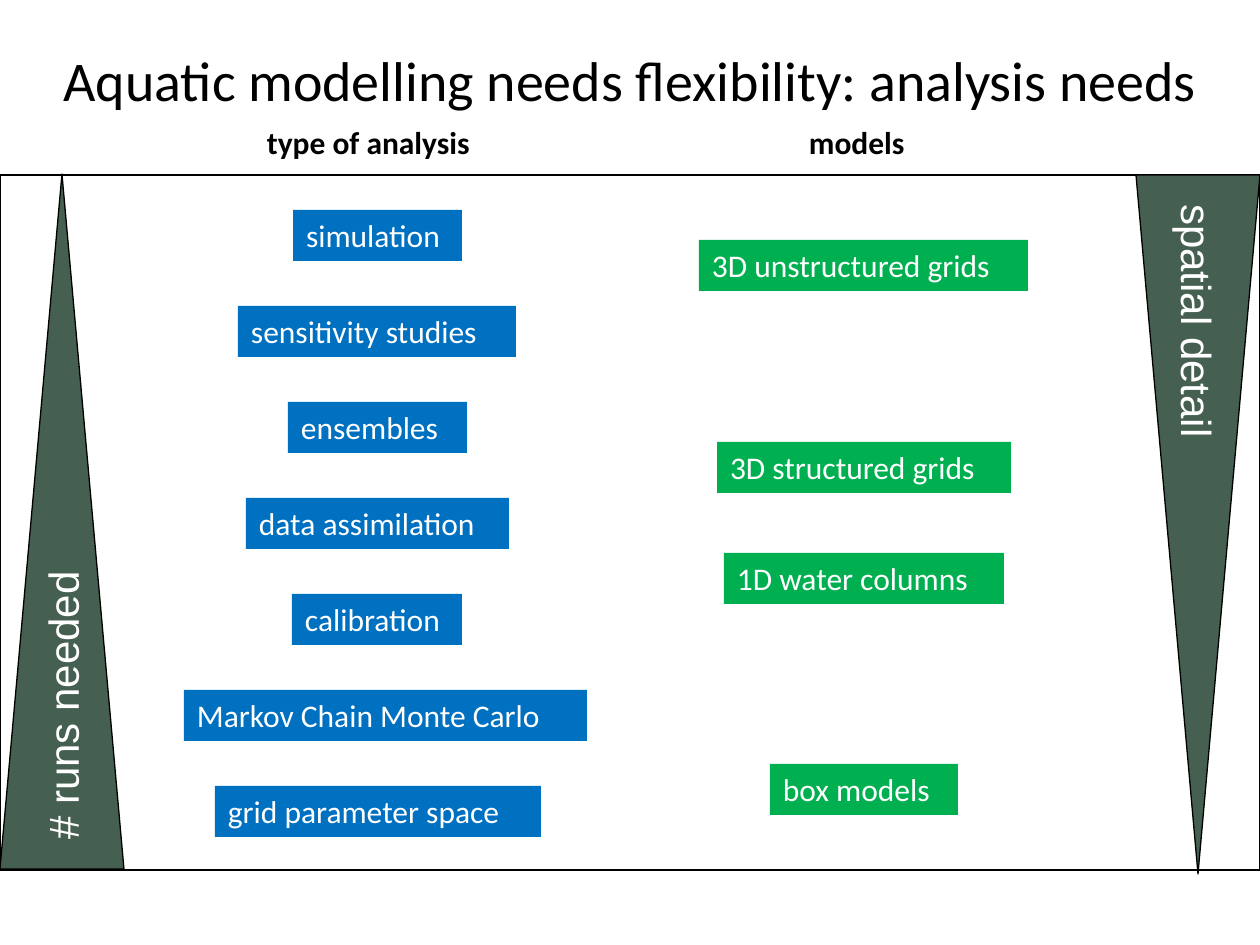
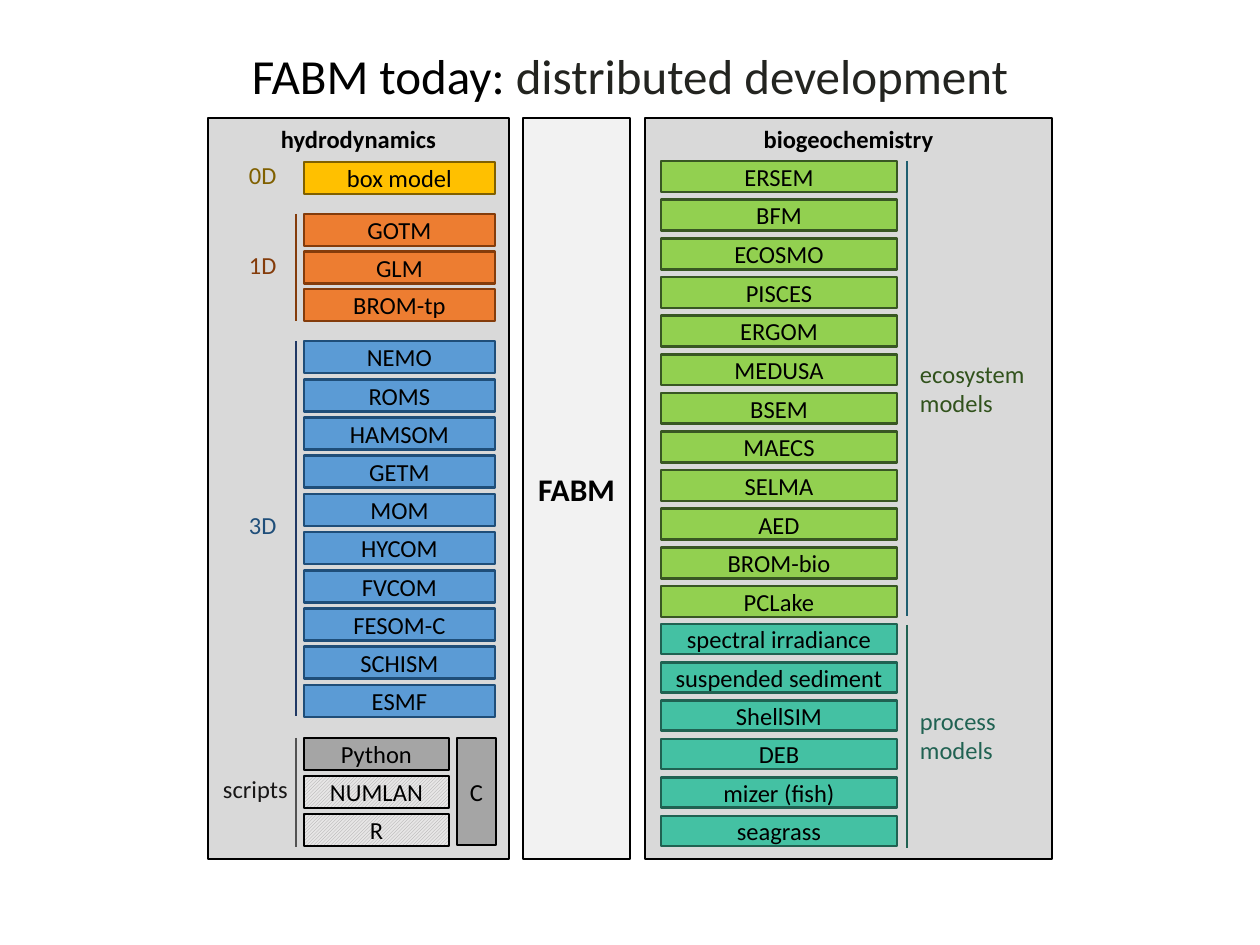
import lxml.etree
import pptx
import pptx.dml.color
import pptx.enum.dml
import pptx.enum.shapes
import pptx.enum.text
import pptx.oxml.ns
import pptx.util

RGB = pptx.dml.color.RGBColor
SHAPE = pptx.enum.shapes.MSO_SHAPE
ANCHOR = pptx.enum.text.MSO_ANCHOR
ALIGN = pptx.enum.text.PP_ALIGN

PX = 914400 / 126
BLACK = RGB(0x00, 0x00, 0x00)
WHITE = RGB(0xFF, 0xFF, 0xFF)
TITLE_SOFT = RGB(0x23, 0x24, 0x20)
ANALYSIS_BLUE = RGB(0x00, 0x70, 0xC0)
MODEL_GREEN = RGB(0x00, 0xB0, 0x50)
WEDGE_GREEN = RGB(0x45, 0x5F, 0x51)
PANEL_GREY = RGB(0xD9, 0xD9, 0xD9)
CORE_GREY = RGB(0xF2, 0xF2, 0xF2)
SCRIPT_GREY = RGB(0xA5, 0xA5, 0xA5)
HATCH_PALE = RGB(0xE7, 0xE6, 0xE6)
SCRIPT_BAR = RGB(0x52, 0x52, 0x52)
SCRIPT_TEXT = RGB(0x18, 0x17, 0x17)
GOLD = RGB(0xFF, 0xC0, 0x00)
GOLD_DARK = RGB(0x80, 0x60, 0x00)
ORANGE = RGB(0xED, 0x7D, 0x31)
ORANGE_DARK = RGB(0x84, 0x3C, 0x0B)
BLUE = RGB(0x5B, 0x9B, 0xD5)
BLUE_DARK = RGB(0x1F, 0x4E, 0x79)
BLUE_BAR = RGB(0x20, 0x38, 0x64)
LIME = RGB(0x92, 0xD0, 0x50)
LIME_DARK = RGB(0x38, 0x57, 0x23)
ECOSYSTEM_BAR = RGB(0x1E, 0x5E, 0x70)
ECOSYSTEM_TEXT = RGB(0x31, 0x52, 0x1C)
TEAL = RGB(0x44, 0xC1, 0xA3)
TEAL_DARK = RGB(0x20, 0x62, 0x52)

BOX_HEIGHT = 51
PANEL_TOP, PANEL_HEIGHT = 118, 741
HYDRO_LEFT, HYDRO_WIDTH = 304, 191
SCRIPT_WIDTH = 145
BIO_LEFT, BIO_WIDTH = 661, 236
HYDRO_BAR, BIO_BAR = 296, 907
TIGHT = (9, 5, 9, 5)

ANALYSES = [
    ("simulation", 293, 169),
    ("sensitivity studies", 238, 278),
    ("ensembles", 288, 179),
    ("data assimilation", 246, 263),
    ("calibration", 292, 170),
    ("Markov Chain Monte Carlo", 184, 403),
    ("grid parameter space", 215, 326),
]
MODELS = [
    ("3D unstructured grids", 699, 240, 329),
    ("3D structured grids", 717, 442, 294),
    ("1D water columns", 724, 553, 280),
    ("box models", 770, 764, 188),
]
MODELS_3D = ["NEMO", "ROMS", "HAMSOM", "GETM", "MOM", "HYCOM", "FVCOM",
             "FESOM-C", "SCHISM", "ESMF"]
ECOSYSTEM = ["ERSEM", "BFM", "ECOSMO", "PISCES", "ERGOM", "MEDUSA", "BSEM",
             "MAECS", "SELMA", "AED", "BROM-bio", "PCLake"]
PROCESSES = ["spectral irradiance", "suspended sediment", "ShellSIM", "DEB",
             "mizer (fish)", "seagrass"]


def px(length):
    return pptx.util.Emu(round(length * PX))


def write(frame, text, size=14, color=BLACK, font="Calibri", bold=False,
          align=ALIGN.LEFT, anchor=ANCHOR.TOP, insets=(13, 6, 13, 6)):
    """Fill a frame; text is a string of lines or a list of (text, colour) runs."""
    frame.word_wrap = True
    frame.vertical_anchor = anchor
    (frame.margin_left, frame.margin_top,
     frame.margin_right, frame.margin_bottom) = map(px, insets)
    if isinstance(text, str):
        lines = [[(line, color)] for line in text.split("\n")]
    else:
        lines = [text]
    for number, pieces in enumerate(lines):
        paragraph = frame.add_paragraph() if number else frame.paragraphs[0]
        paragraph.alignment = align
        for words, shade in pieces:
            run = paragraph.add_run()
            run.text = words
            run.font.name = font
            run.font.size = pptx.util.Pt(size)
            run.font.bold = bold
            run.font.color.rgb = shade


def add_label(slide, text, left, top, width, height, **style):
    label = slide.shapes.add_textbox(px(left), px(top), px(width), px(height))
    write(label.text_frame, text, **style)


def add_title(slide, text, left, top, width, height, size):
    add_label(slide, text, left, top, width, height, size=size,
              align=ALIGN.CENTER, anchor=ANCHOR.MIDDLE, insets=TIGHT)


def add_block(slide, left, top, width, height, fill=None, line=None,
              weight=1.5, kind=SHAPE.RECTANGLE):
    block = slide.shapes.add_shape(kind, px(left), px(top), px(width), px(height))
    block.shadow.inherit = False
    if fill is None:
        block.fill.background()
    else:
        block.fill.solid()
        block.fill.fore_color.rgb = fill
    if line is None:
        block.line.fill.background()
    else:
        block.line.color.rgb = line
        block.line.width = pptx.util.Pt(weight)
    return block


def add_tag(slide, text, left, top, width, fill):
    tag = add_block(slide, left, top, width, BOX_HEIGHT, fill)
    write(tag.text_frame, text, size=18, color=WHITE)


def add_wedge(slide, text, left, top, width, height, rotation=0):
    """Triangle whose text reads from its base towards its tip."""
    wedge = add_block(slide, left, top, width, height, WEDGE_GREEN, BLACK,
                      0.75, SHAPE.ISOSCELES_TRIANGLE)
    wedge.rotation = rotation
    frame = wedge.text_frame
    write(frame, text, size=24, color=WHITE, font="Arial", anchor=ANCHOR.MIDDLE)
    frame._txBody.bodyPr.set("vert", "vert270")
    properties = frame.paragraphs[0]._p.get_or_add_pPr()
    properties.set("marL", str(px(23)))
    properties.set("indent", "0")


def add_panel(slide, heading, left, width, fill, **style):
    panel = add_block(slide, left, PANEL_TOP, width, PANEL_HEIGHT, fill, BLACK)
    write(panel.text_frame, heading, bold=True, align=ALIGN.CENTER, **style)


def add_cell(slide, text, left, top, width, height, fill, line):
    cell = add_block(slide, left, top, width, height, fill, line)
    write(cell.text_frame, text, align=ALIGN.CENTER, anchor=ANCHOR.MIDDLE,
          insets=TIGHT)
    return cell


def add_stack(slide, names, left, first, last, width, height, fill, line):
    """Spread cells evenly between the tops first and last."""
    step = (last - first) / max(len(names) - 1, 1)
    return [add_cell(slide, name, left, first + row * step, width, height, fill, line)
            for row, name in enumerate(names)]


def hatch(cell):
    cell.fill.patterned()
    cell.fill.pattern = pptx.enum.dml.MSO_PATTERN_TYPE.LIGHT_UPWARD_DIAGONAL
    cell.fill.fore_color.rgb = SCRIPT_GREY
    cell.fill.back_color.rgb = HATCH_PALE


def add_bar(slide, x, top, bottom, color):
    bar = slide.shapes.add_connector(pptx.enum.shapes.MSO_CONNECTOR.STRAIGHT,
                                     px(x), px(top), px(x), px(bottom))
    bar.line.color.rgb = color
    bar.line.width = pptx.util.Pt(1.5)
    lxml.etree.SubElement(bar._element.spPr, pptx.oxml.ns.qn("a:effectLst"))


def build_analysis_needs(slide):
    add_title(slide, "Aquatic modelling needs flexibility: analysis needs",
              25, 0, 1211, 158, size=32)
    for name, left, top, width in MODELS:
        add_tag(slide, name, left, top, width, MODEL_GREEN)
    for row, (name, left, width) in enumerate(ANALYSES):
        add_tag(slide, name, left, 210 + 96 * row, width, ANALYSIS_BLUE)
    add_block(slide, 0, 175, 1260, 695, line=BLACK, weight=0.75)
    add_wedge(slide, "# runs needed", 0, 174, 124, 695)
    add_wedge(slide, "spatial detail", 1136, 175, 124, 699, rotation=180)
    for heading, left, width in [("models", 796, 137), ("type of analysis", 254, 265)]:
        add_label(slide, heading, left, 117, width, BOX_HEIGHT, size=18, bold=True)


def build_distributed_development(slide):
    add_title(slide, [("FABM today: ", BLACK), ("distributed development", TITLE_SOFT)],
              63, 34, 1134, 81, size=28)
    add_panel(slide, "hydrodynamics", 208, 301, PANEL_GREY)
    add_panel(slide, "FABM", 523, 107, CORE_GREY, size=18, anchor=ANCHOR.MIDDLE)
    add_panel(slide, "biogeochemistry", 645, 407, PANEL_GREY)

    for names, first, last, fill, line in [
        (["box model"], 162, 162, GOLD, GOLD_DARK),
        (["GOTM", "GLM", "BROM-tp"], 214, 289, ORANGE, ORANGE_DARK),
        (MODELS_3D, 341, 685, BLUE, BLUE_DARK),
    ]:
        add_stack(slide, names, HYDRO_LEFT, first, last, HYDRO_WIDTH, 32, fill, line)
    scripts = add_stack(slide, ["Python", "NUMLAN", "R"], HYDRO_LEFT, 738, 814,
                        SCRIPT_WIDTH, 32, SCRIPT_GREY, BLACK)
    for cell in scripts[1:]:
        hatch(cell)
    add_cell(slide, "C", 457, 738, 39, 107, SCRIPT_GREY, BLACK)

    add_stack(slide, ECOSYSTEM, BIO_LEFT, 161, 586, BIO_WIDTH, 31, LIME, LIME_DARK)
    add_stack(slide, PROCESSES, BIO_LEFT, 624, 816, BIO_WIDTH, 30, TEAL, TEAL_DARK)

    for x, top, bottom, color in [
        (HYDRO_BAR, 214, 321, ORANGE_DARK),
        (HYDRO_BAR, 341, 716, BLUE_BAR),
        (HYDRO_BAR, 738, 847, SCRIPT_BAR),
        (BIO_BAR, 161, 616, ECOSYSTEM_BAR),
        (BIO_BAR, 625, 848, TEAL_DARK),
    ]:
        add_bar(slide, x, top, bottom, color)
    for text, left, top, width, height, color in [
        ("0D", 236, 154, 53, 43, GOLD_DARK),
        ("1D", 236, 244, 53, 43, ORANGE_DARK),
        ("3D", 236, 504, 53, 43, BLUE_DARK),
        ("scripts", 210, 768, 91, 43, SCRIPT_TEXT),
        ("ecosystem\nmodels", BIO_BAR, 353, 132, 72, ECOSYSTEM_TEXT),
        ("process\nmodels", BIO_BAR, 700, 102, 72, TEAL_DARK),
    ]:
        add_label(slide, text, left, top, width, height, color=color,
                  insets=(13, 6, 0, 6))


def main():
    deck = pptx.Presentation()
    deck.slide_width, deck.slide_height = px(1260), px(945)
    blank = deck.slide_layouts[6]
    for build in (build_analysis_needs, build_distributed_development):
        build(deck.slides.add_slide(blank))
    deck.save("out.pptx")


if __name__ == "__main__":
    main()
